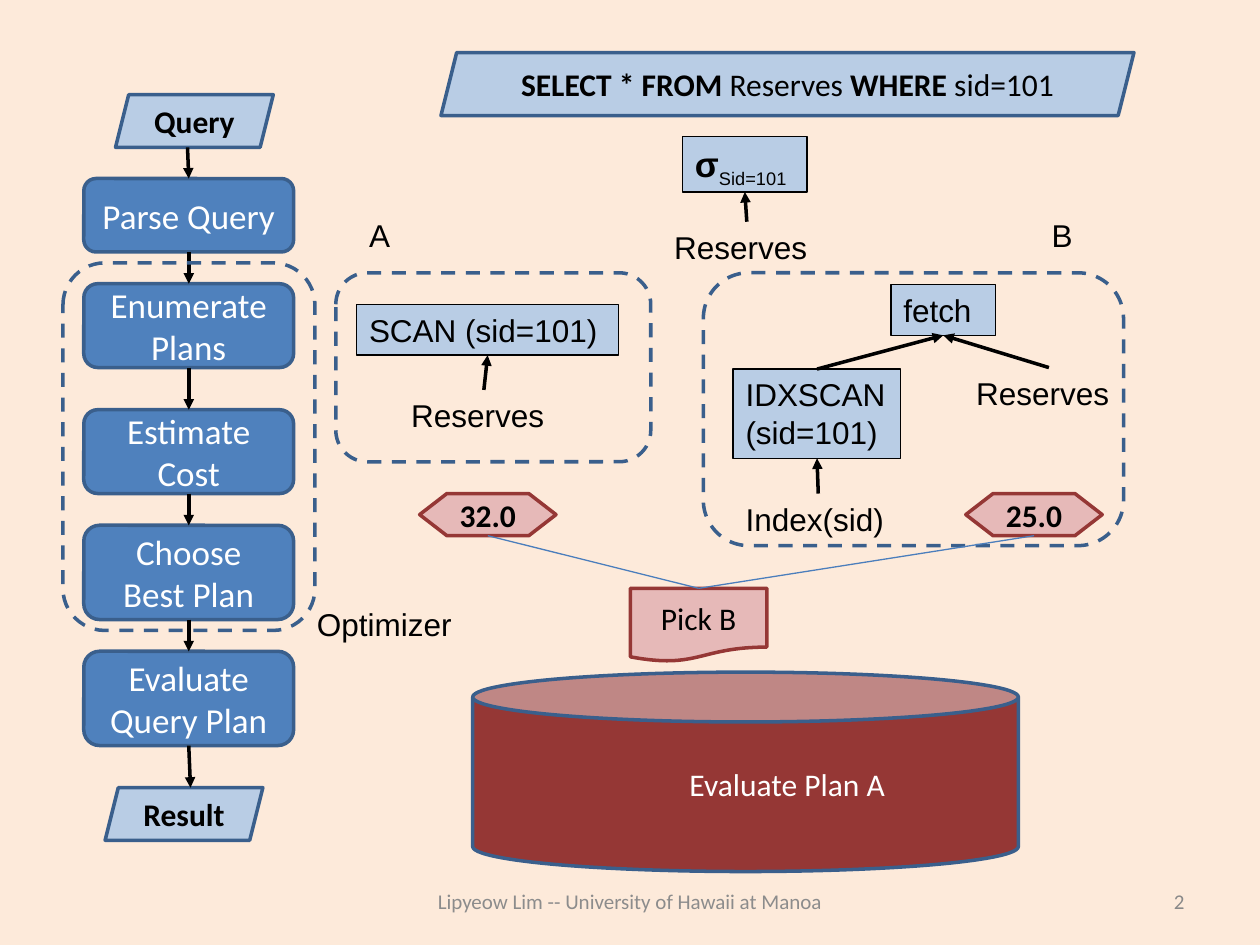
from pptx import Presentation
from pptx.dml.color import RGBColor as Rgb
from pptx.enum.dml import MSO_LINE as Dash
from pptx.enum.shapes import MSO_CONNECTOR as Wire, MSO_SHAPE as Kind
from pptx.enum.text import MSO_ANCHOR as Anchor, MSO_AUTO_SIZE as Auto, PP_ALIGN as Align
from pptx.oxml.ns import qn
from pptx.util import Cm, Pt
from lxml.etree import SubElement

HUES = {
    "page": "FDEADA", "blue": "4F81BD", "edge": "3A5F8C", "pale": "B9CDE5",
    "pink": "E6B9B8", "red": "953735", "wire": "4B7EBC", "black": "000000",
    "white": "FFFFFF", "foot": "8C8C8C", "page no": "898989",
}
TOP, BOTTOM = 0, 2


def hue(name):
    """Return the named colour."""
    return Rgb.from_string(HUES[name])


def write(shape, runs, size=18, face="Calibri", ink="black", align=Align.CENTER):
    """Fill a shape with (text, bold) runs, where None breaks the line."""
    frame = shape.text_frame
    frame.word_wrap = True
    frame.vertical_anchor = Anchor.MIDDLE
    para = frame.paragraphs[0]
    para.alignment = align
    for part in runs:
        if part is None:
            para.add_line_break()
            continue
        run = para.add_run()
        run.text, run.font.bold = part
        run.font.size, run.font.name = Pt(size), face
        run.font.color.rgb = hue(ink)
    return para


def form(shapes, kind, box, fill=None, edge="edge", width=2):
    """Add a preset shape, dashed when it has no fill."""
    shape = shapes.add_shape(kind, *map(Cm, box))
    shape.shadow.inherit = False
    shape.line.color.rgb = hue(edge)
    shape.line.width = Pt(width)
    if fill:
        shape.fill.solid()
        shape.fill.fore_color.rgb = hue(fill)
    else:
        shape.fill.background()
        shape.line.dash_style = Dash.DASH
    return shape


def grow(shape, runs, wrap=True):
    """Write Arial text from the top left in a shape that fits its text."""
    para = write(shape, runs, face="Arial", align=Align.LEFT)
    frame = shape.text_frame
    frame.vertical_anchor = Anchor.TOP
    frame.word_wrap = wrap
    frame.auto_size = Auto.SHAPE_TO_FIT_TEXT
    return para


def label(shapes, box, text, wrap=True):
    """Add a plain Arial label."""
    shape = shapes.add_textbox(*map(Cm, box))
    grow(shape, [(text, None)], wrap)
    return shape


def node(shapes, box, text):
    """Add an operator box of a query plan."""
    shape = form(shapes, Kind.RECTANGLE, box, "pale", "black", 0.75)
    grow(shape, [(text, None)])
    return shape


def spot(end):
    """Return the point of an end given as (x, y) or (shape, side)."""
    shape, side = end
    if not hasattr(shape, "shape_type"):
        return Cm(shape), Cm(side)
    drop = shape.height if side == BOTTOM else 0
    return shape.left + shape.width // 2, shape.top + drop


def link(shapes, start, end, color="black", width=2, arrow=True):
    """Draw a straight connector and join it to the shapes at its ends."""
    line = shapes.add_connector(Wire.STRAIGHT, *spot(start), *spot(end))
    line.line.color.rgb = hue(color)
    line.line.width = Pt(width)
    if arrow:
        SubElement(line.line._get_or_add_ln(), qn("a:tailEnd"), type="triangle")
    SubElement(line._element.spPr, qn("a:effectLst"))
    for join, tip in ((line.begin_connect, start), (line.end_connect, end)):
        if hasattr(tip[0], "shape_type"):
            join(*tip)


def flow(shapes, box):
    """Draw the column of steps from query to result."""
    x, y, w, h = box
    for text, dx, dy in (("Query", 1.06, 0), ("Result", 0.85, h - 1.06)):
        gate = form(shapes, Kind.PARALLELOGRAM, (x + dx, y + dy, 3.18, 1.06), "pale")
        write(gate, [(text, True)])
    steps = (
        (1.69, 1.48, ["Parse Query"]),
        (3.81, 1.69, ["Enumerate Plans"]),
        (6.35, 1.69, ["Estimate Cost"]),
        (8.68, 1.9, ["Choose", "Best Plan"]),
        (11.22, 1.9, ["Evaluate Query Plan"]),
    )
    last = (x + 2.51, y + 1.06)
    for dy, tall, lines in steps:
        step = form(shapes, Kind.ROUNDED_RECTANGLE, (x + 0.42, y + dy, 4.23, tall), "blue")
        runs = [part for line in lines for part in (None, (line, None))][1:]
        write(step, runs, 20, ink="white")
        link(shapes, last, (step, TOP))
        last = (step, BOTTOM)
    link(shapes, last, (x + 2.57, y + h - 1.06))
    form(shapes, Kind.ROUNDED_RECTANGLE, (x, y + 3.39, w, 7.41))
    label(shapes, (x + 4.87, y + 10.16, 3.25, 1.02), "Optimizer", False)


def query(shapes, box):
    """Draw the statement and its relational algebra."""
    x, y, w, h = box
    bar = form(shapes, Kind.PARALLELOGRAM, (x, y, w, 1.27), "pale")
    write(bar, [("SELECT * FROM ", True), ("Reserves", False),
                (" WHERE ", True), ("sid=101", False)])
    pick = form(shapes, Kind.RECTANGLE, (x + 4.87, y + 1.69, 2.51, 1.12), "pale", "black", 0.75)
    sigma, sub = grow(pick, [("σ", True), ("Sid=101", False)]).runs
    sigma.font.size = Pt(20)
    sub.font._element.set("baseline", "-25000")
    table = label(shapes, (x + 4.45, y + h - 1.02, 3.43, 1.02), "Reserves")
    link(shapes, (table, TOP), (pick, BOTTOM))


def frame(shapes, box, name, dx, cost, gap):
    """Draw a plan's dashed outline, name and cost, and return the cost."""
    x, y, w, h = box
    form(shapes, Kind.ROUNDED_RECTANGLE, box)
    label(shapes, (x + dx, y - 1.27, 0.94, 1.02), name, name != "A")
    tag = form(shapes, Kind.FLOWCHART_PREPARATION, (x + gap, y + 4.45, 2.75, 0.85), "pink", "red")
    write(tag, [(cost, True)])
    return tag


def scan(shapes, box):
    """Draw plan A, a table scan, and return its cost."""
    x, y, w, h = box
    tree = shapes.add_group_shape().shapes
    root = node(tree, (x + 0.42, y + 0.64, 5.28, 1.02), "SCAN (sid=101)")
    leaf = label(tree, (x + 1.27, y + 2.36, 3.43, 1.02), "Reserves")
    link(tree, (leaf, TOP), (root, BOTTOM))
    return frame(shapes, box, "A", 0.42, "32.0", 1.69)


def index(shapes, box):
    """Draw plan B, an index scan with fetch, and return its cost."""
    x, y, w, h = box
    tree = shapes.add_group_shape().shapes
    seek = node(tree, (x + 0.6, y + 1.94, 3.38, 1.8), "IDXSCAN (sid=101)")
    table = label(tree, (x + 5.25, y + 1.91, 3.43, 1.02), "Reserves")
    leaf = label(tree, (x + 0.6, y + 4.45, 3.43, 1.02), "Index(sid)")
    root = node(tree, (x + 3.78, y + 0.24, 2.11, 1.02), "fetch")
    for low, high in ((leaf, seek), (seek, root), (table, root)):
        link(tree, (low, TOP), (high, BOTTOM))
    return frame(shapes, box, "B", 6.77, "25.0", 5.29)


def choice(shapes, box, costs):
    """Draw the picked plan, tied to the costs, and its evaluation."""
    x, y, w, h = box
    pick = form(shapes, Kind.FLOWCHART_DOCUMENT, (x + 3.18, y, 2.75, 1.48), "pink", "red")
    write(pick, [("Pick B", None)])
    for cost in costs:
        link(shapes, (cost, BOTTOM), (pick, TOP), "wire", 0.75, False)
    drum = form(shapes, Kind.CAN, (x, y + 1.69, w, h - 1.69), "red")
    write(drum, [("Evaluate Plan A", None)], ink="white")
    drum.text_frame.margin_left = Cm(1.93)


def foot(shapes, box):
    """Add the footer line and the page number."""
    x, y, w, h = box
    line = shapes.add_textbox(*map(Cm, (x, y, 10.16, h)))
    write(line, [("Lipyeow Lim -- University of Hawaii at Manoa", None)], 12, ink="foot")
    page = shapes.add_textbox(*map(Cm, (x + w - 5.93, y, 5.93, h)))
    write(page, [("2", None)], 12, ink="page no", align=Align.RIGHT)


def main():
    """Build the slide and save it."""
    deck = Presentation()
    deck.slide_width, deck.slide_height = Cm(25.4), Cm(19.05)
    slide = deck.slides.add_slide(deck.slide_layouts[6])
    slide.background.fill.solid()
    slide.background.fill.fore_color.rgb = hue("page")
    shapes = slide.shapes
    foot(shapes, (7.62, 17.65, 16.51, 1.02))
    flow(shapes, (1.27, 1.91, 5.08, 15.03))
    query(shapes, (8.89, 1.06, 13.97, 4.43))
    costs = scan(shapes, (6.77, 5.5, 6.35, 3.81)), index(shapes, (14.18, 5.5, 8.47, 5.5))
    choice(shapes, (9.53, 11.86, 11, 5.71), costs)
    deck.save("out.pptx")


if __name__ == "__main__":
    main()
